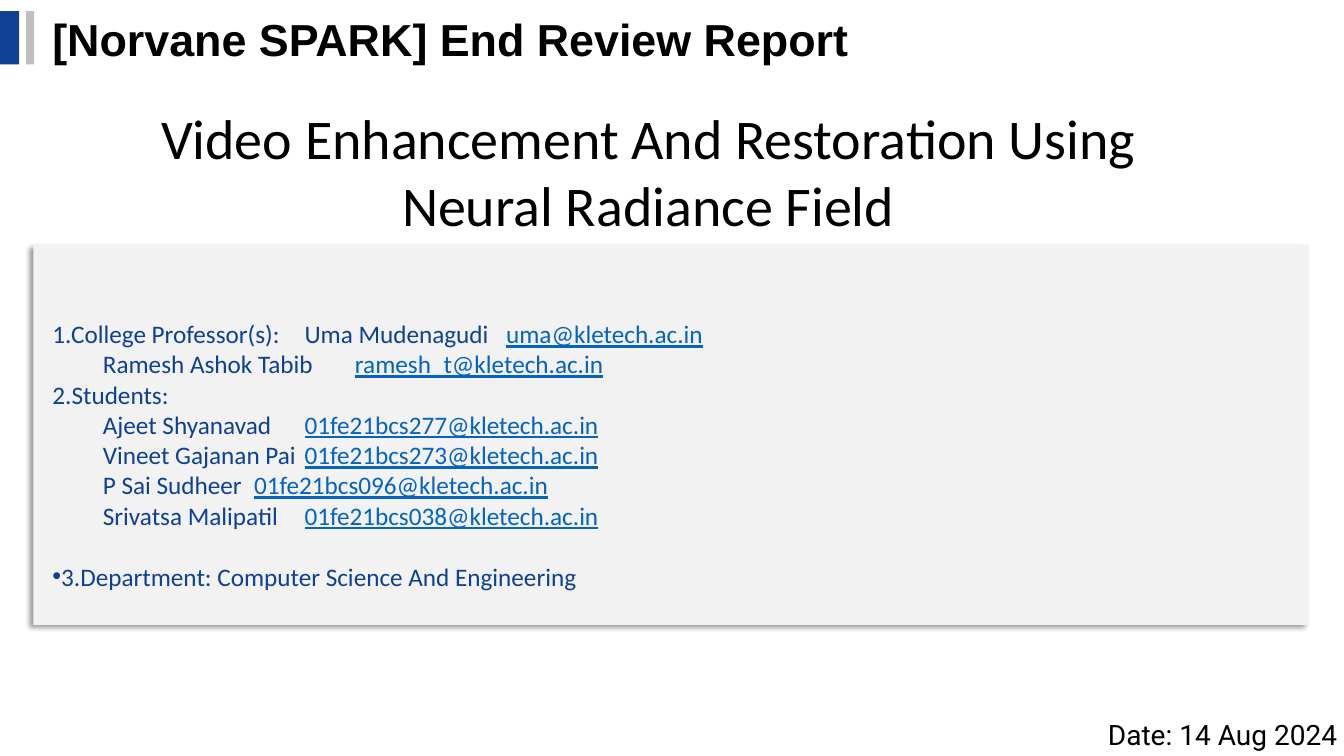
from dataclasses import dataclass

from lxml.etree import SubElement
from pptx import Presentation
from pptx.dml.color import RGBColor
from pptx.enum.shapes import MSO_SHAPE
from pptx.enum.text import MSO_ANCHOR, MSO_AUTO_SIZE, PP_ALIGN
from pptx.oxml.ns import qn
from pptx.util import Inches, Pt

COLORS = {
    "panel": "F2F2F2",
    "navy": "0E4094",
    "gray": "BFBFBF",
    "email": "0563C1",
    "black": "000000",
}


@dataclass
class Block:
    left: float
    top: float
    width: float
    height: float
    color: str


@dataclass
class Person:
    """One row: optional label, then name and e-mail at tab stops in inches."""
    name: str
    email: str
    name_at: float
    email_at: float
    label: str = ""


PANEL = Block(0.33, 2.43, 12.65, 3.77, "panel")
HEADER_BARS = [
    Block(0, 0.11, 0.19, 0.53, "navy"),
    Block(0.26, 0.11, 0.08, 0.53, "gray"),
]
PROFESSORS = [
    Person("Uma Mudenagudi", "uma@kletech.ac.in", 2.36, 4.59,
           "1.College Professor(s):"),
    Person("Ramesh Ashok Tabib", "ramesh_t@kletech.ac.in", 2.36, 4.62),
]
STUDENTS = [
    Person("Ajeet Shyanavad", "01fe21bcs277@kletech.ac.in", 0.51, 2.57),
    Person("Vineet Gajanan Pai", "01fe21bcs273@kletech.ac.in", 0.51, 2.59),
    Person("P Sai Sudheer", "01fe21bcs096@kletech.ac.in", 0.56, 2.68),
    Person("Srivatsa Malipatil", "01fe21bcs038@kletech.ac.in", 0.56, 2.64),
]


def add_block(slide, block: Block):
    shape = slide.shapes.add_shape(
        MSO_SHAPE.RECTANGLE, Inches(block.left), Inches(block.top),
        Inches(block.width), Inches(block.height))
    shape.shadow.inherit = False
    shape.fill.solid()
    shape.fill.fore_color.rgb = RGBColor.from_string(COLORS[block.color])
    shape.line.fill.background()
    return shape


def add_shadow(shape) -> None:
    effects = shape._element.spPr.find(qn("a:effectLst"))
    shadow = SubElement(effects, qn("a:outerShdw"), blurRad=str(Pt(4)),
                        dist=str(Pt(3)), dir=str(135 * 60000), rotWithShape="0")
    color = SubElement(shadow, qn("a:srgbClr"), val=COLORS["black"])
    SubElement(color, qn("a:alpha"), val="40000")


def add_run(paragraph, text: str, size: float, color: str,
            font: str = "Calibri", bold: bool = False, underline: bool = False) -> None:
    run = paragraph.add_run()
    run.text = text
    run.font.name = font
    run.font.size = Pt(size)
    run.font.bold = bold
    run.font.underline = underline
    run.font.color.rgb = RGBColor.from_string(COLORS[color])


def place(shape, left: float, top: float, width: float, height: float,
          anchor=MSO_ANCHOR.TOP):
    shape.left, shape.top = Inches(left), Inches(top)
    shape.width, shape.height = Inches(width), Inches(height)
    frame = shape.text_frame
    frame.word_wrap = True
    frame.auto_size = MSO_AUTO_SIZE.NONE
    frame.vertical_anchor = anchor
    return frame


def add_line(frame, tabs: tuple = (), bullet: str = "", space_before: float = 0):
    first = frame.paragraphs[0]
    paragraph = frame.add_paragraph() if first.runs else first
    props = paragraph._p.get_or_add_pPr()
    props.set("marL", "0")
    props.set("indent", "0")
    if bullet:
        SubElement(props, qn("a:buChar"), char=bullet)
    else:
        SubElement(props, qn("a:buNone"))
    if tabs:
        stops = SubElement(props, qn("a:tabLst"))
        for position in tabs:
            SubElement(stops, qn("a:tab"), pos=str(Inches(position)), algn="l")
    paragraph.line_spacing = 1.0
    paragraph.space_before = Pt(space_before)
    return paragraph


def add_person(frame, person: Person) -> None:
    line = add_line(frame, (person.name_at, person.email_at))
    add_run(line, f"{person.label}\t{person.name}\t", 18, "navy")
    add_run(line, person.email, 18, "email", underline=True)


def main() -> None:
    prs = Presentation()
    prs.slide_width, prs.slide_height = Inches(13.33), Inches(7.5)
    slide = prs.slides.add_slide(prs.slide_layouts[1])
    project_title, team = slide.placeholders[0], slide.placeholders[1]

    # Panel behind the team list
    panel = add_block(slide, PANEL)
    add_shadow(panel)
    panel._element.addnext(team._element)

    # Header bars and report name
    for bar in HEADER_BARS:
        add_block(slide, bar)
    report = slide.shapes.add_textbox(0, 0, 0, 0)
    frame = place(report, 0.42, 0.06, 10.28, 0.64, MSO_ANCHOR.MIDDLE)
    add_run(frame.paragraphs[0], "[Norvane SPARK] End Review Report", 32,
            "black", "Arial", bold=True)

    # Project title
    frame = place(project_title, 1.29, 0.98, 10.28, 1.45)
    frame.paragraphs[0].alignment = PP_ALIGN.CENTER
    add_run(frame.paragraphs[0],
            "Video Enhancement And Restoration Using Neural Radiance Field",
            40, "black")

    # Team list
    frame = place(team, 0.42, 3.11, 12, 3.13)
    for professor in PROFESSORS:
        add_person(frame, professor)
    add_run(add_line(frame), "2.Students:", 18, "navy")
    for student in STUDENTS:
        add_person(frame, student)
    add_run(add_line(frame, bullet="•", space_before=22),
            "3.Department: Computer Science And Engineering", 18, "navy")

    # Date
    date = slide.shapes.add_textbox(0, 0, 0, 0)
    frame = place(date, 10.89, 7.06, 2.44, 0.44, MSO_ANCHOR.MIDDLE)
    frame.margin_right = 0
    add_run(frame.paragraphs[0], "Date: 14 Aug 2024", 20, "black", "Roboto")

    prs.save("out.pptx")


if __name__ == "__main__":
    main()
